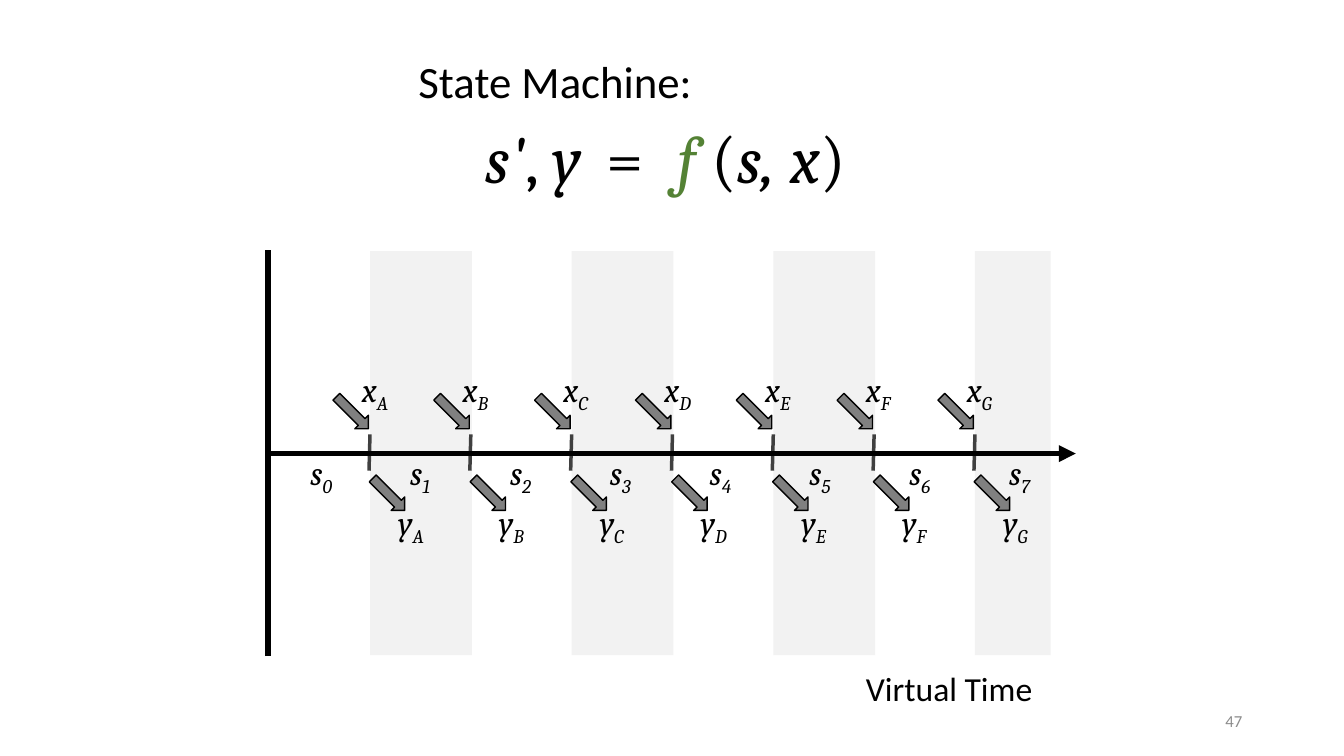
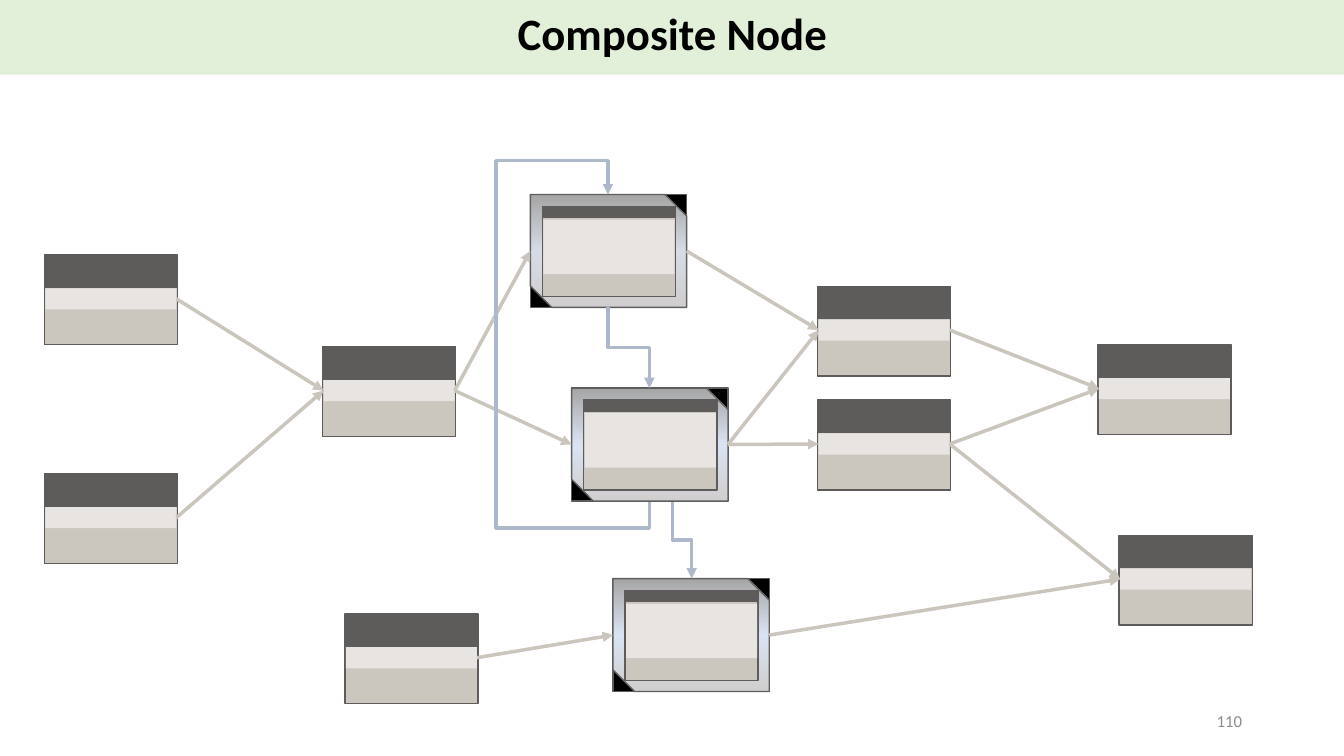
from copy import deepcopy
from dataclasses import dataclass
from typing import Any, Optional

from lxml.etree import SubElement
from pptx import Presentation
from pptx.dml.color import RGBColor
from pptx.enum.shapes import MSO_CONNECTOR, MSO_SHAPE
from pptx.enum.text import MSO_ANCHOR, MSO_AUTO_SIZE, PP_ALIGN
from pptx.oxml.ns import qn
from pptx.util import Inches, Pt


@dataclass(frozen=True)
class Theme:
    black: str = "000000"
    accent: str = "548235"
    page_number: str = "8C8C8C"
    title_band: str = "E2F0D9"
    time_band: str = "F2F2F2"
    tick: str = "404040"
    event: str = "808080"
    data_flow: str = "CBC6BD"
    control_flow: str = "ADB9CA"
    node_dark: str = "5E5C5A"
    node_body: str = "CBC6BE"
    node_strip: str = "E7E4E1"
    frame_line: str = "5F5F5F"
    frame_bottom: str = "D0CECE"
    frame_middle: str = "DAE3F3"
    frame_top: str = "A5A5A5"
    sans: str = "Calibri"
    math: str = "Cambria"
    title_size: int = 32
    formula_size: int = 48
    label_size: int = 24
    number_size: int = 12


THEME = Theme()


@dataclass(frozen=True)
class Box:
    x: float
    y: float
    w: float
    h: float


@dataclass(frozen=True)
class TextRun:
    text: str
    italic: bool = False
    color: str = THEME.black
    baseline: Optional[int] = None
    spacing: Optional[int] = None


@dataclass(frozen=True)
class Node:
    name: str
    x: float
    y: float


@dataclass(frozen=True)
class Composite(Node):
    middle: str = THEME.frame_middle


@dataclass(frozen=True)
class ControlFlow:
    source: str
    target: str
    start: tuple[float, float]
    end: tuple[float, float]
    bends: tuple[float, ...]
    from_middle: bool = True


# Shared drawing functions
def inches(*values: float) -> list[int]:
    return [Inches(value) for value in values]


def place(shape: Any, box: Box) -> None:
    values = dict(left=box.x, top=box.y, width=box.w, height=box.h)
    for name, value in values.items():
        setattr(shape, name, Inches(value))


def format_font(font: Any, color: str, **values: Any) -> None:
    for name, value in values.items():
        setattr(font, name, value)
    font.color.rgb = RGBColor.from_string(color)


def add_block(slide: Any, box: Box, fill: Optional[str], line: Optional[str] = None,
              kind: Any = MSO_SHAPE.RECTANGLE) -> Any:
    block = slide.shapes.add_shape(kind, *inches(box.x, box.y, box.w, box.h))
    block.shadow.inherit = False
    if fill:
        block.fill.solid()
        block.fill.fore_color.rgb = RGBColor.from_string(fill)
    if line:
        block.line.color.rgb = RGBColor.from_string(line)
        block.line.width = Pt(1)
    else:
        block.line.fill.background()
    return block


def add_line(slide: Any, start: tuple[float, float], end: tuple[float, float], color: str,
             width: float, arrow: bool = False, kind: Any = MSO_CONNECTOR.STRAIGHT) -> Any:
    line = slide.shapes.add_connector(kind, *inches(*start, *end))
    line.line.color.rgb = RGBColor.from_string(color)
    line.line.width = Pt(width)
    properties = line.element.spPr
    if arrow:
        SubElement(properties.find(qn("a:ln")), qn("a:tailEnd"), type="triangle")
    SubElement(properties, qn("a:effectLst"))
    return line


def add_text(slide: Any, box: Box, runs: list[TextRun], font: str, size: int) -> Any:
    label = slide.shapes.add_textbox(*inches(box.x, box.y, box.w, box.h))
    frame = label.text_frame
    frame.word_wrap = False
    frame.auto_size = MSO_AUTO_SIZE.SHAPE_TO_FIT_TEXT
    for part in runs:
        run = frame.paragraphs[0].add_run()
        run.text = part.text
        format_font(run.font, part.color, name=font, size=Pt(size), italic=part.italic)
        for name, value in (("baseline", part.baseline), ("spc", part.spacing)):
            if value is not None:
                run.font._element.set(name, str(value))
    return label


def add_indexed(slide: Any, box: Box, letter: str, index: str) -> None:
    runs = [TextRun(letter, True), TextRun(index, True, baseline=-25000)]
    add_text(slide, box, runs, THEME.math, THEME.label_size)


def set_title(slide: Any, text: str, box: Box, anchor: Any, align: Any, bold: bool) -> Any:
    title = slide.shapes.title
    place(title, box)
    frame = title.text_frame
    frame.text = text
    for name, value in dict(word_wrap=False, auto_size=MSO_AUTO_SIZE.NONE,
                            vertical_anchor=anchor).items():
        setattr(frame, name, value)
    paragraph = frame.paragraphs[0]
    paragraph.alignment = align
    format_font(paragraph.runs[0].font, THEME.black, name=THEME.sans,
                size=Pt(THEME.title_size), bold=bold)
    return title


def add_page_number(slide: Any, number: int) -> None:
    label = add_text(slide, Box(9.42, 6.95, 3, 0.4),
                     [TextRun(str(number), color=THEME.page_number)],
                     THEME.sans, THEME.number_size)
    frame = label.text_frame
    frame.auto_size = MSO_AUTO_SIZE.NONE
    frame.word_wrap = True
    frame.vertical_anchor = MSO_ANCHOR.MIDDLE
    frame.paragraphs[0].alignment = PP_ALIGN.RIGHT


# State machine timeline
FORMULA = [
    TextRun("s'", True), TextRun(", "), TextRun("y", True), TextRun(" = ", spacing=700),
    TextRun("f ", True, THEME.accent), TextRun("("), TextRun("s, x", True), TextRun(")"),
]
EVENTS = "ABCDEFG"
FIRST_TICK = 3.67


def add_event_arrow(slide: Any, x: float, y: float) -> None:
    arrow = add_block(slide, Box(x, y, 0.45, 0.19), THEME.event, THEME.black,
                      MSO_SHAPE.RIGHT_ARROW)
    arrow.rotation = 45


def build_state_machine(slide: Any) -> None:
    set_title(slide, "State Machine:", Box(4.05, 0.48, 2.95, 0.64),
              MSO_ANCHOR.TOP, PP_ALIGN.LEFT, False)
    add_text(slide, Box(4.72, 1.1, 3.89, 0.91), FORMULA, THEME.math, THEME.formula_size)

    # Alternating bands and axes
    for step, width in enumerate((1.01, 1.01, 1.01, 0.75)):
        add_block(slide, Box(FIRST_TICK + 2 * step, 2.49, width, 4.01), THEME.time_band)
    add_line(slide, (2.66, 6.51), (2.66, 2.48), THEME.black, 4)
    for step in range(len(EVENTS)):
        tick = FIRST_TICK + step
        add_line(slide, (tick, 4.31), (tick - 0.01, 4.67), THEME.tick, 2.5)
    add_line(slide, (2.64, 4.5), (10.67, 4.5), THEME.black, 4, arrow=True)
    add_text(slide, Box(8.49, 6.58, 1.87, 0.5), [TextRun("Virtual Time")],
             THEME.sans, THEME.label_size)

    # States, inputs and outputs
    for step in range(len(EVENTS) + 1):
        add_indexed(slide, Box(2.98 + 0.99 * step, 4.43, 0.45, 0.5), "s", str(step))
    for step, event in enumerate(EVENTS):
        tick = FIRST_TICK + step
        add_event_arrow(slide, tick - 0.4, 4)
        add_indexed(slide, Box(tick - 0.18, 3.61, 0.48, 0.5), "x", event)
        add_event_arrow(slide, tick - 0.04, 4.81)
        add_indexed(slide, Box(tick + 0.18, 4.93, 0.49, 0.5), "y", event)
    add_page_number(slide, 47)


# Composite node graph
NODES = [
    Node("upper source", 0.44, 2.53), Node("lower source", 0.44, 4.7),
    Node("merge", 3.2, 3.44), Node("side source", 3.42, 6.09),
    Node("upper stage", 8.11, 2.84), Node("lower stage", 8.11, 3.97),
    Node("upper sink", 10.89, 3.42), Node("lower sink", 11.1, 5.31),
]
COMPOSITES = [
    Composite("third", 6.08, 5.74), Composite("second", 5.67, 3.85),
    Composite("first", 5.26, 1.93, "D6DCE5"),
]
DATA_FLOWS = [
    ("merge", "first"), ("upper source", "merge"), ("lower source", "merge"),
    ("first", "upper stage"), ("merge", "second"), ("side source", "third"),
    ("second", "lower stage"), ("lower stage", "lower sink"), ("third", "lower sink"),
    ("upper stage", "upper sink"), ("lower stage", "upper sink"),
    ("second", "upper stage"),
]
CONTROL_FLOWS = [
    ControlFlow("first", "second", (6.03, 3.05), (6.44, 3.85), (0.5,)),
    ControlFlow("second", "third", (6.67, 4.98), (6.86, 5.74), (0.5,), False),
    ControlFlow("second", "first", (6.44, 4.98), (6.03, 1.93), (-0.084, 3.705, 1.11)),
]


def add_node(slide: Any, node: Node) -> Any:
    """Draw a plain node and return the strip that carries its ports."""
    x, y = node.x, node.y
    add_block(slide, Box(x, y + 0.32, 1.32, 0.57), THEME.node_body, THEME.node_dark)
    strip = add_block(slide, Box(x + 0.01, y + 0.33, 1.3, 0.21), THEME.node_strip)
    add_block(slide, Box(x, y, 1.32, 0.32), THEME.node_dark, THEME.node_dark)
    return strip


def add_composite(slide: Any, node: Composite) -> Any:
    """Draw a framed node and return the frame that carries its ports."""
    x, y = node.x, node.y
    outline = Box(x, y, 1.55, 1.12)
    frame = add_block(slide, outline, THEME.black, THEME.node_dark)
    panel = add_block(slide, outline, None, THEME.frame_line, MSO_SHAPE.SNIP_2_DIAG_RECTANGLE)
    panel.adjustments[0], panel.adjustments[1] = 0, 0.191
    panel.fill.gradient()
    panel.fill.gradient_angle = 90
    stops = panel.element.spPr.find(".//" + qn("a:gsLst"))
    stops.insert(1, deepcopy(stops[0]))
    shades = (THEME.frame_bottom, node.middle, THEME.frame_top)
    for order, (stop, shade) in enumerate(zip(panel.fill.gradient_stops, shades)):
        stop.position = order / 2
        stop.color.rgb = RGBColor.from_string(shade)
    add_block(slide, Box(x + 0.12, y + 0.12, 1.32, 0.89), THEME.node_body, THEME.node_dark)
    add_block(slide, Box(x + 0.13, y + 0.25, 1.3, 0.54), THEME.node_strip)
    add_block(slide, Box(x + 0.12, y + 0.12, 1.31, 0.11), THEME.node_dark, THEME.node_dark)
    return frame


def add_control_flow(slide: Any, flow: ControlFlow, ports: dict[str, Any]) -> None:
    """Draw a bent arrow that leaves and arrives vertically."""
    (x1, y1), (x2, y2) = flow.start, flow.end
    arrow = add_line(slide, flow.start, flow.end, THEME.control_flow, 2.5, True,
                     MSO_CONNECTOR.ELBOW)
    if flow.from_middle:
        arrow.begin_connect(ports[flow.source], 2)
    arrow.end_connect(ports[flow.target], 0)
    # A quarter turn swaps width and height around the same centre
    w, h = abs(y2 - y1), abs(x2 - x1)
    place(arrow, Box((x1 + x2 - w) / 2, (y1 + y2 - h) / 2, w, h))
    transform = arrow.element.spPr.find(qn("a:xfrm"))
    transform.attrib.pop("flipV", None)
    transform.set("flipH", "1")
    transform.set("rot", str((270 if y2 > y1 else 90) * 60000))
    geometry = arrow.element.spPr.find(qn("a:prstGeom"))
    geometry.set("prst", f"bentConnector{len(flow.bends) + 2}")
    guides = geometry.find(qn("a:avLst"))
    if guides is None:
        guides = SubElement(geometry, qn("a:avLst"))
    for order, bend in enumerate(flow.bends, 1):
        SubElement(guides, qn("a:gd"), name=f"adj{order}", fmla=f"val {round(bend * 100000)}")


def build_composite_node(slide: Any) -> None:
    # Title band
    title = set_title(slide, "Composite Node", Box(4.58, -0.01, 4.18, 0.74),
                      MSO_ANCHOR.MIDDLE, PP_ALIGN.CENTER, True)
    title.text_frame.paragraphs[0].line_spacing = 0.9
    band = add_block(slide, Box(0, 0, 13.33, 0.74), THEME.title_band)
    title.element.addprevious(band.element)

    # Nodes, then the flows between them
    ports = {node.name: add_composite(slide, node) for node in COMPOSITES}
    ports.update({node.name: add_node(slide, node) for node in NODES})
    for source, target in DATA_FLOWS:
        arrow = add_line(slide, (0, 0), (1, 1), THEME.data_flow, 2.5, arrow=True)
        arrow.begin_connect(ports[source], 3)
        arrow.end_connect(ports[target], 1)
    for flow in CONTROL_FLOWS:
        add_control_flow(slide, flow, ports)
    add_page_number(slide, 110)


def main() -> None:
    deck = Presentation()
    deck.slide_width, deck.slide_height = inches(13.33, 7.5)
    for build in (build_state_machine, build_composite_node):
        build(deck.slides.add_slide(deck.slide_layouts[5]))
    deck.save("out.pptx")


if __name__ == "__main__":
    main()
